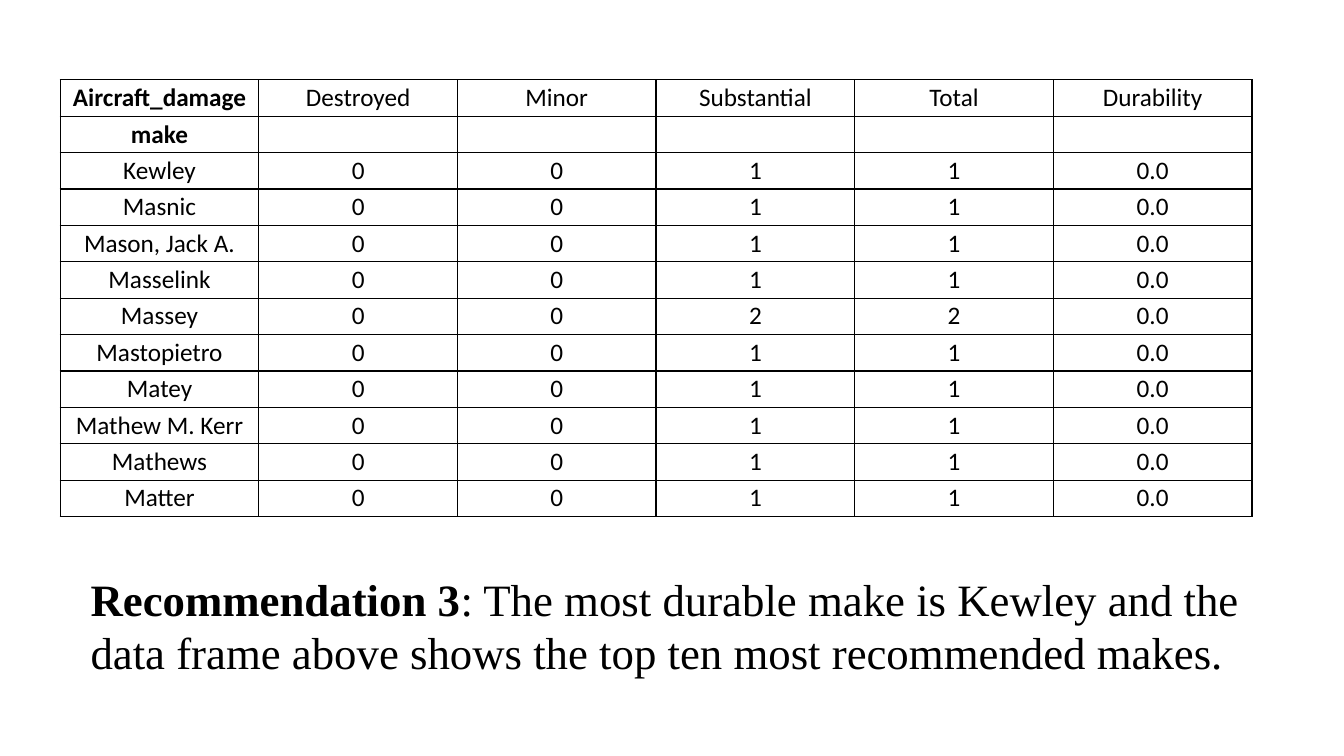
from dataclasses import dataclass

from lxml import etree
from pptx import Presentation
from pptx.dml import color
from pptx.enum import text
from pptx.oxml import ns
from pptx.util import Pt


@dataclass(frozen=True)
class Theme:
    ink: str = "000000"
    paper: str = "FFFFFF"
    grid_font: str = "Calibri"
    note_font: str = "Times New Roman"
    grid_size: int = 18
    note_size: int = 32
    border: int = 1


class Deck:
    def __init__(self, theme):
        self.theme = theme
        self.prs = Presentation()
        self.prs.slide_width, self.prs.slide_height = Pt(960), Pt(540)
        self.slide = self.prs.slides.add_slide(self.prs.slide_layouts[6])
        fill = self.slide.background.fill
        fill.solid()
        fill.fore_color.rgb = color.RGBColor.from_string(theme.paper)

    def style(self, para, font, size):
        para.font.name = font
        para.font.size = Pt(size)
        para.font.color.rgb = color.RGBColor.from_string(self.theme.ink)

    def frame(self, cell):
        """Draw the four borders of a cell; they must precede its fill."""
        props = cell._tc.get_or_add_tcPr()
        for i, side in enumerate(("lnL", "lnR", "lnT", "lnB")):
            line = etree.Element(ns.qn(f"a:{side}"), w=str(Pt(self.theme.border)))
            fill = etree.SubElement(line, ns.qn("a:solidFill"))
            etree.SubElement(fill, ns.qn("a:srgbClr"), val=self.theme.ink)
            props.insert(i, line)

    def table(self, rows, left, top, col_width, row_height, heads):
        """Add a grid of equal cells; texts listed in heads are bold."""
        count = len(rows[0])
        table = self.slide.shapes.add_table(
            len(rows), count, Pt(left), Pt(top),
            Pt(col_width * count), Pt(row_height * len(rows))).table
        table.first_row = table.horz_banding = False
        for col in table.columns:
            col.width = Pt(col_width)
        for row, values in zip(table.rows, rows):
            row.height = Pt(row_height)
            for cell, value in zip(row.cells, values):
                cell.text = value
                cell.fill.background()
                self.frame(cell)
                cell.vertical_anchor = text.MSO_ANCHOR.MIDDLE
                cell.margin_left = cell.margin_right = Pt(4)
                cell.margin_top = cell.margin_bottom = Pt(2)
                para = cell.text_frame.paragraphs[0]
                para.alignment = text.PP_ALIGN.CENTER
                self.style(para, self.theme.grid_font, self.theme.grid_size)
                para.font.bold = value in heads

    def note(self, lead, body, left, top, width, height):
        """Add a text box that opens with a bold lead."""
        box = self.slide.shapes.add_textbox(Pt(left), Pt(top), Pt(width), Pt(height))
        box.text_frame.word_wrap = True
        para = box.text_frame.paragraphs[0]
        self.style(para, self.theme.note_font, self.theme.note_size)
        for words, bold in ((lead, True), (body, False)):
            run = para.add_run()
            run.text = words
            run.font.bold = bold


def main():
    heads = ("Aircraft_damage", "make")
    makes = ("Kewley", "Masnic", "Mason, Jack A.", "Masselink", "Massey",
             "Mastopietro", "Matey", "Mathew M. Kerr", "Mathews", "Matter")
    substantial = {"Massey": "2"}
    rows = [(heads[0], "Destroyed", "Minor", "Substantial", "Total", "Durability"),
            (heads[1], "", "", "", "", "")]
    for make in makes:
        count = substantial.get(make, "1")
        rows.append((make, "0", "0", count, count, "0.0"))

    deck = Deck(Theme())
    deck.table(rows, 43, 57, 141.9, 26, heads)
    deck.note("Recommendation 3",
              ": The most durable make is Kewley and the data frame above "
              "shows the top ten most recommended makes.",
              57.6, 404.6, 836.6, 85)
    deck.prs.save("out.pptx")


if __name__ == "__main__":
    main()
